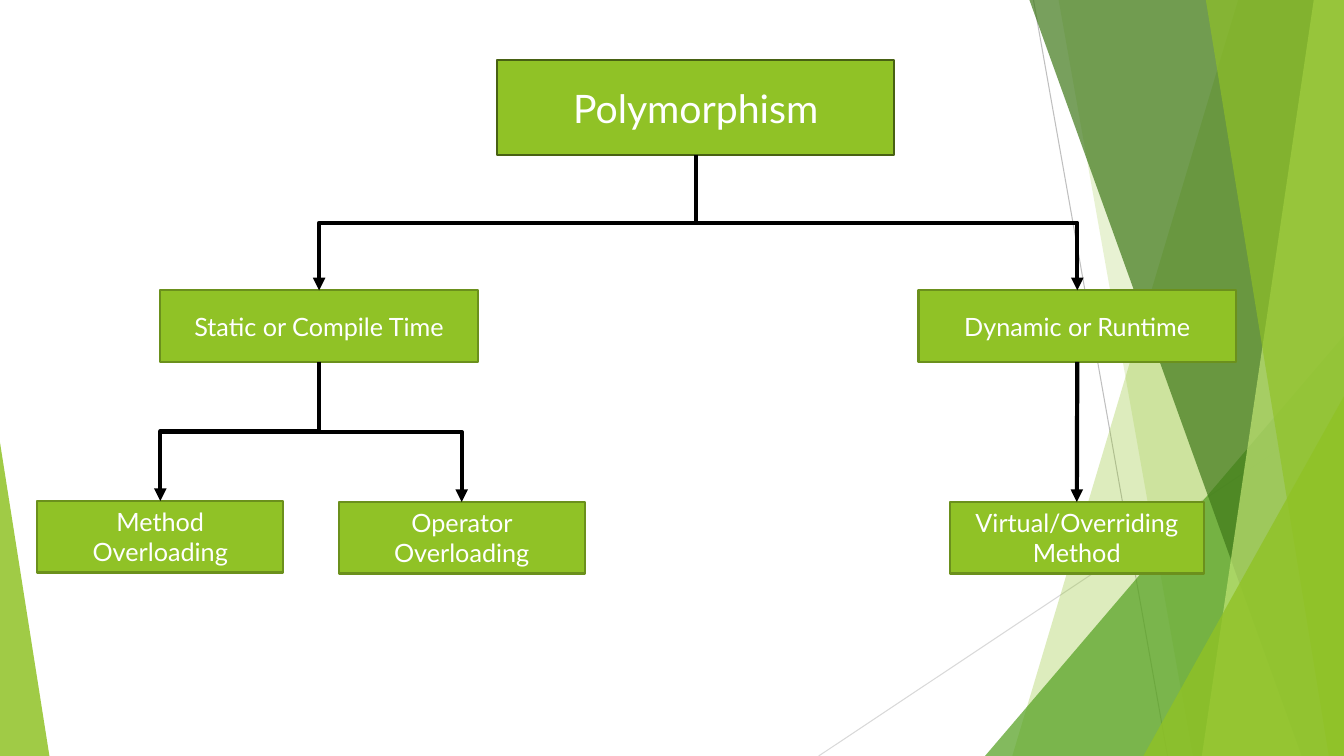
from lxml import etree
from pptx import Presentation
from pptx import util as u
from pptx.dml.color import RGBColor
from pptx.enum import shapes, text
from pptx.oxml.ns import qn

COLORS = {
    "lime": "90C226", "green": "54A021", "forest": "3F7819", "pale": "C0E474",
    "root_border": "486113", "border": "6B901C", "arrow": "000000",
    "white": "FFFFFF", "line": "BFBFBF", "light_line": "D9D9D9",
}
WIDTH, HEIGHT = 13.33, 7.5

deck = Presentation()
deck.slide_width, deck.slide_height = u.Inches(WIDTH), u.Inches(HEIGHT)
page = deck.slides.add_slide(deck.slide_layouts[6])


def paint(shape, color, opacity=100):
    shape.shadow.inherit = False
    shape.fill.solid()
    shape.fill.fore_color.rgb = RGBColor.from_string(COLORS[color])
    shape.line.fill.background()
    if opacity < 100:
        tint = shape.fill._xPr.find(qn("a:solidFill"))[0]
        etree.SubElement(tint, qn("a:alpha"), val=str(opacity * 1000))


def connect(kind, start, end, color, weight):
    line = page.shapes.add_connector(kind, *[u.Inches(v) for v in (*start, *end)])
    line.line.color.rgb = RGBColor.from_string(COLORS[color])
    line.line.width = u.Pt(weight)
    etree.SubElement(line._element.spPr, qn("a:effectLst"))
    return line


# Thin background lines
STRAIGHT = shapes.MSO_CONNECTOR.STRAIGHT
connect(STRAIGHT, (10.25, 0), (11.58, HEIGHT), "line", 0.75)
connect(STRAIGHT, (WIDTH, 4.03), (8.12, HEIGHT), "light_line", 0.75)

# Translucent facets, back to front:
# bands run from a top x to a bottom x and fill to the right edge;
# triangles have left, top, width and apex position
facets = [
    ("band", (12.28, 10.04), "lime", 30),
    ("band", (10.5, 11.83), "lime", 20),
    ("triangle", (9.77, 3.33, 3.56, 1), "green", 72),
    ("band", (10.21, 12.91), "forest", 70),
    ("band", (13.03, 11.92), "pale", 70),
    ("band", (11.96, 13.18), "lime", 65),
    ("triangle", (11.34, 3.93, 1.99, 1), "lime", 80),
    ("triangle", (0, 4.39, 0.49, 0), "lime", 85),
]
for kind, geometry, color, opacity in facets:
    if kind == "band":
        top_x, bottom_x = geometry
        outline = page.shapes.build_freeform(u.Inches(top_x), 0)
        corners = [(WIDTH, 0), (WIDTH, HEIGHT), (bottom_x, HEIGHT)]
        outline.add_line_segments([(u.Inches(x), u.Inches(y)) for x, y in corners])
        facet = outline.convert_to_shape()
    else:
        left, top, width, apex = geometry
        facet = page.shapes.add_shape(
            shapes.MSO_SHAPE.ISOSCELES_TRIANGLE,
            *[u.Inches(v) for v in (left, top, width, HEIGHT - top)])
        facet.adjustments[0] = apex
    paint(facet, color, opacity)

# Hierarchy boxes
nodes = {
    "root": ("Polymorphism", 4.93, 0.6, 3.94, 0.94, 28, "root_border"),
    "virtual": ("Virtual/Overriding Method", 9.42, 4.98, 2.52, 0.71, 18, "border"),
    "method": ("Method Overloading", 0.37, 4.97, 2.44, 0.71, 18, "border"),
    "dynamic": ("Dynamic or Runtime", 9.11, 2.88, 3.15, 0.71, 18, "border"),
    "static": ("Static or Compile Time", 1.59, 2.88, 3.15, 0.71, 18, "border"),
    "operator": ("Operator Overloading", 3.36, 4.98, 2.44, 0.71, 18, "border"),
}
boxes = {}
for name, (label, left, top, width, height, size, border) in nodes.items():
    box = page.shapes.add_shape(
        shapes.MSO_SHAPE.RECTANGLE,
        *[u.Inches(v) for v in (left, top, width, height)])
    paint(box, "lime")
    box.line.color.rgb = RGBColor.from_string(COLORS[border])
    box.line.width = u.Pt(1.5)
    frame = box.text_frame
    frame.word_wrap = True
    frame.vertical_anchor = text.MSO_ANCHOR.MIDDLE
    para = frame.paragraphs[0]
    para.text = label
    para.alignment = text.PP_ALIGN.CENTER
    para.font.name, para.font.size = "Lato", u.Pt(size)
    para.font.color.rgb = RGBColor.from_string(COLORS["white"])
    boxes[name] = box

# Arrows from the bottom of each parent to the top of its child
BOTTOM, TOP = 2, 0
links = [("root", "static"), ("static", "operator"), ("root", "dynamic"),
         ("dynamic", "virtual"), ("static", "method")]
for parent, child in links:
    above, below = boxes[parent], boxes[child]
    x1, y1 = above.left + above.width // 2, above.top + above.height
    x2, y2 = below.left + below.width // 2, below.top
    run, drop = x2 - x1, y2 - y1
    straight = abs(run) < u.Inches(0.05)
    kind = STRAIGHT if straight else shapes.MSO_CONNECTOR.ELBOW
    arrow = connect(kind, (0, 0), (1, 1), "arrow", 3)
    arrow.begin_connect(above, BOTTOM)
    arrow.end_connect(below, TOP)
    if not straight:
        # An elbow leaves sideways, so turn it to leave downwards
        arrow.width, arrow.height = drop, abs(run)
        arrow.left = (x1 + x2 - drop) // 2
        arrow.top = (y1 + y2 - abs(run)) // 2
        turn = arrow._element.spPr.find(qn("a:xfrm"))
        turn.set("rot", str((270 if run > 0 else 90) * 60000))
        turn.set("flipH", "1" if run > 0 else "0")
        turn.set("flipV", "0")
    stroke = arrow.line._get_or_add_ln()
    etree.SubElement(stroke, qn("a:tailEnd"), type="triangle")

deck.save("out.pptx")
